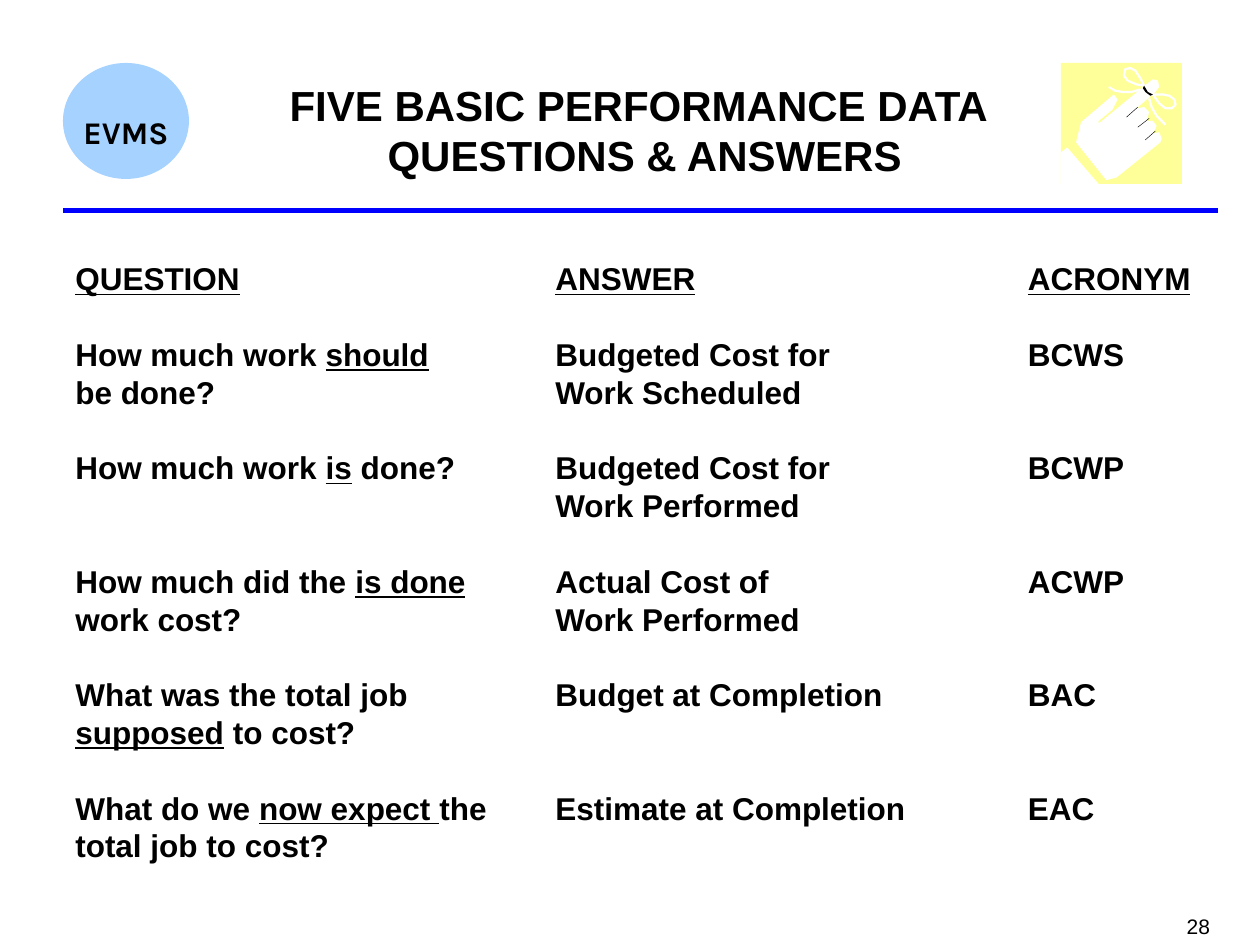
from lxml.etree import SubElement
from pptx import Presentation
from pptx.dml.color import RGBColor
from pptx.enum.shapes import MSO_CONNECTOR, MSO_SHAPE
from pptx.enum.text import MSO_ANCHOR, MSO_AUTO_SIZE, PP_ALIGN
from pptx.oxml.ns import qn
from pptx.util import Inches, Pt

COLORS = {"black": "000000", "white": "FFFFFF", "rule": "0000FF",
          "badge": "A5D2FF", "note": "FFFF99"}
TITLE = ["FIVE BASIC PERFORMANCE DATA", " QUESTIONS & ANSWERS"]
HEADER = "_QUESTION\tANSWER\tACRONYM_"
# Underlined words stand between underscores; each row is two lines.
ROWS = [
    ("How much work _should_\tBudgeted Cost for\tBCWS", "be done?\tWork Scheduled"),
    ("How much work _is_ done?\tBudgeted Cost for\tBCWP", "\tWork Performed"),
    ("How much did the _is done_\tActual Cost of\tACWP", "work cost?\tWork Performed"),
    ("What was the total job\tBudget at Completion\tBAC", "_supposed_ to cost?"),
    ("What do we _now expect _the\tEstimate at Completion\tEAC", "total job to cost?"),
]
TABS = [3.81, 7.56]

CUFF = [(8.72, 1.46), (8.47, 1.17), (8.42, 1.21), (8.42, 1.46)]
HAND = [(9.17, 0.73), (9.02, 0.86), (9.08, 0.85), (9.12, 0.89), (9.1, 0.96),
        (9.15, 0.96), (9.18, 1), (9.15, 1.06), (9.2, 1.05), (9.22, 1.1),
        (9.21, 1.13), (8.86, 1.41), (8.78, 1.43), (8.7, 1.33), (8.54, 1.13),
        (8.58, 0.97), (8.84, 0.75), (8.87, 0.79), (8.83, 0.87), (8.72, 0.96),
        (8.72, 0.98), (9.11, 0.66), (9.15, 0.63), (9.19, 0.64), (9.2, 0.69)]
KNOT = [(9.09, 0.73), (9.07, 0.7), (9.08, 0.68), (9.11, 0.73), (9.15, 0.75),
        (9.13, 0.76)]
FINGER_LINES = [[(9.12, 0.94), (9.03, 1.01)], [(9.17, 1.04), (9.09, 1.11)],
                [(9.03, 0.85), (8.94, 0.93)]]
STRINGS = [
    [(9.15, 0.75), (9.2, 0.82), (9.25, 0.86), (9.3, 0.86), (9.33, 0.83),
     (9.32, 0.79), (9.28, 0.76), (9.23, 0.75), (9.15, 0.75)],
    [(9.08, 0.68), (9.02, 0.67), (8.95, 0.64), (8.92, 0.6), (8.93, 0.55),
     (8.97, 0.54), (9.01, 0.56), (9.05, 0.62), (9.08, 0.68)],
    [(9.05, 0.71), (8.98, 0.73), (8.91, 0.73), (8.85, 0.72), (8.8, 0.69)],
    [(9.12, 0.78), (9.14, 0.85), (9.18, 0.92), (9.25, 0.99)],
]


def rgb(name):
    return RGBColor.from_string(COLORS[name])


def format_font(font, size, bold=True, name="Arial"):
    font.name, font.size, font.bold = name, Pt(size), bold
    font.color.rgb = rgb("black")


def place(shape, left, top, width, height):
    shape.left, shape.top = Inches(left), Inches(top)
    shape.width, shape.height = Inches(width), Inches(height)
    tf = shape.text_frame
    tf.word_wrap, tf.auto_size = True, MSO_AUTO_SIZE.NONE
    tf.vertical_anchor = MSO_ANCHOR.TOP
    return tf


def add_title(s):
    tf = place(s.shapes.title, 2.17, 0.58, 5.8, 0.9)
    tf.text = "\n".join(TITLE)
    for p in tf.paragraphs:
        p.alignment, p.line_spacing = PP_ALIGN.CENTER, Pt(28.8)
        format_font(p.runs[0].font, 24)


def add_line(p, text, space_before=0):
    """Fill a paragraph with tabbed columns, underlining the marked words."""
    tabs = SubElement(p._p.get_or_add_pPr(), qn("a:tabLst"))
    for pos in TABS:
        SubElement(tabs, qn("a:tab"), pos=str(Inches(pos)), algn="l")
    p.line_spacing, p.space_before = Pt(21.6), Pt(space_before)
    for i, part in enumerate(text.split("_")):
        if part:
            r = p.add_run()
            r.text = part
            format_font(r.font, 18)
            r.font.underline = i % 2 == 1


def add_questions(s):
    tf = place(s.shapes.add_textbox(0, 0, 0, 0), 0.5, 2.01, 9.2, 4.9)
    add_line(tf.paragraphs[0], HEADER)
    for first, second in ROWS:
        add_line(tf.add_paragraph(), first, 21.6)
        add_line(tf.add_paragraph(), second)


def add_plain_shape(s, kind, left, top, width, height, color):
    shape = s.shapes.add_shape(kind, Inches(left), Inches(top),
                               Inches(width), Inches(height))
    shape.shadow.inherit = False
    shape.fill.solid()
    shape.fill.fore_color.rgb = rgb(color)
    shape.line.fill.background()
    return shape


def add_badge(s):
    badge = add_plain_shape(s, MSO_SHAPE.OVAL, 0.5, 0.5, 1, 0.92, "badge")
    tf = badge.text_frame
    tf.word_wrap = False
    tf.margin_top = Inches(0.22)
    tf.text = "EVMS"
    p = tf.paragraphs[0]
    p.alignment = PP_ALIGN.CENTER
    format_font(p.runs[0].font, 18, name="Karla")


def add_rule(s):
    rule = s.shapes.add_connector(MSO_CONNECTOR.STRAIGHT, Inches(0.5), Inches(1.67),
                                  Inches(9.67), Inches(1.67))
    rule.line.color.rgb, rule.line.width = rgb("rule"), Pt(3)
    SubElement(rule._element.spPr, qn("a:effectLst"))


def add_outline(s, points, fill=None, line=None, width=0.25):
    """Draw a closed filled outline, or an open stroke when only line is given."""
    start, *rest = [(Inches(x), Inches(y)) for x, y in points]
    builder = s.shapes.build_freeform(*start)
    builder.add_line_segments(rest, close=fill is not None)
    shape = builder.convert_to_shape()
    shape.shadow.inherit = False
    if fill:
        shape.fill.solid()
        shape.fill.fore_color.rgb = rgb(fill)
        shape.line.fill.background()
    else:
        shape.fill.background()
        shape.line.color.rgb, shape.line.width = rgb(line), Pt(width)


def add_reminder_hand(s):
    add_plain_shape(s, MSO_SHAPE.RECTANGLE, 8.42, 0.5, 0.96, 0.96, "note")
    for points in (CUFF, HAND):
        add_outline(s, points, fill="white")
    for points in FINGER_LINES:
        add_outline(s, points, line="black")
    for points in STRINGS:
        add_outline(s, points, line="white", width=1.25)
    add_outline(s, KNOT, fill="black")


def add_page_number(s):
    tf = place(s.shapes.add_textbox(0, 0, 0, 0), 9.32, 7.2, 0.6, 0.3)
    tf.text = "28"
    format_font(tf.paragraphs[0].runs[0].font, 12, bold=False)


def main():
    prs = Presentation()
    prs.slide_width, prs.slide_height = Inches(10), Inches(7.5)
    s = prs.slides.add_slide(prs.slide_layouts[5])
    add_badge(s)
    add_rule(s)
    add_page_number(s)
    add_title(s)
    add_questions(s)
    add_reminder_hand(s)
    prs.save("out.pptx")


if __name__ == "__main__":
    main()
